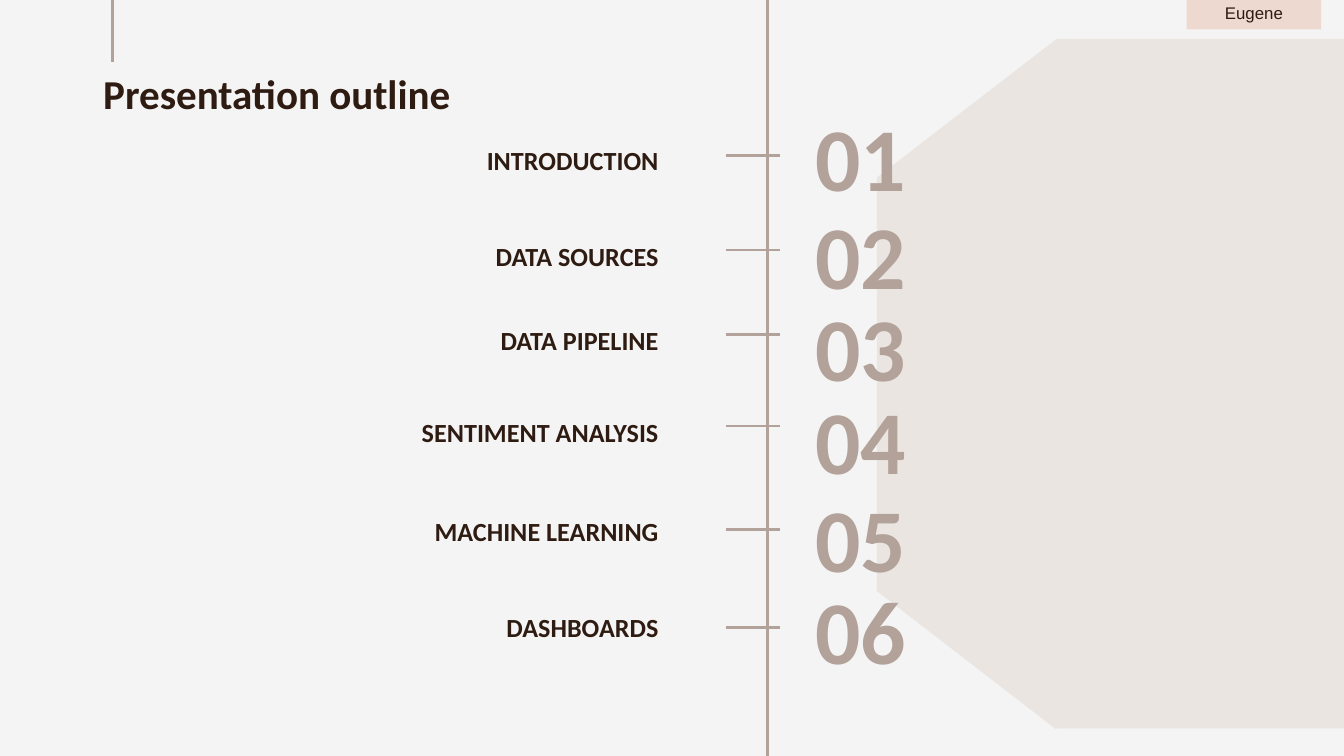
from lxml import etree
from pptx import Presentation
from pptx.dml.color import RGBColor
from pptx.enum.shapes import MSO_CONNECTOR as Connector, MSO_SHAPE as Shape
from pptx.enum.text import MSO_ANCHOR as Anchor, PP_ALIGN as Align
from pptx.oxml.ns import qn
from pptx.util import Inches, Pt

COLORS = {
    "background": "F4F4F4",
    "panel": "EAE5E1",
    "accent": "B3A29A",
    "ink": "2E1B11",
    "tag": "EDD9CF",
}

# Section name, top of its label, top of its number, height of its tick
SECTIONS = [
    ("INTRODUCTION", 0.78, 0.84, 1.16),
    ("DATA SOURCES", 1.49, 1.57, 1.86),
    ("DATA PIPELINE", 2.12, 2.26, 2.49),
    ("SENTIMENT ANALYSIS", 2.80, 2.95, 3.17),
    ("MACHINE LEARNING", 3.54, 3.68, 3.94),
    ("DASHBOARDS", 4.25, 4.36, 4.67),
]


def color(name):
    return RGBColor.from_string(COLORS[name])


def write(frame, text, size=14, ink="ink", font="Calibri", bold=True,
          align=Align.LEFT, anchor=Anchor.TOP, inset=(0.1, 0.1)):
    frame.word_wrap = True
    frame.vertical_anchor = anchor
    frame.margin_left = frame.margin_right = Inches(inset[0])
    frame.margin_top = frame.margin_bottom = Inches(inset[1])
    paragraph = frame.paragraphs[0]
    paragraph.alignment = align
    run = paragraph.add_run()
    run.text = text
    run.font.name = font
    run.font.size = Pt(size)
    run.font.bold = bold
    run.font.color.rgb = color(ink)


class Outline:
    def __init__(self, deck):
        self.slide = deck.slides.add_slide(deck.slide_layouts[6])
        self.slide.background.fill.solid()
        self.slide.background.fill.fore_color.rgb = color("background")

    def block(self, kind, left, top, width, height, fill, rotation=0):
        block = self.slide.shapes.add_shape(
            kind, Inches(left), Inches(top), Inches(width), Inches(height))
        block.rotation = rotation
        block.shadow.inherit = False
        block.fill.solid()
        block.fill.fore_color.rgb = color(fill)
        block.line.fill.background()
        return block

    def text(self, left, top, width, height, words, **style):
        box = self.slide.shapes.add_textbox(
            Inches(left), Inches(top), Inches(width), Inches(height))
        write(box.text_frame, words, **style)

    def rule(self, x1, y1, x2, y2):
        rule = self.slide.shapes.add_connector(
            Connector.STRAIGHT, Inches(x1), Inches(y1), Inches(x2), Inches(y2))
        rule.line.color.rgb = color("accent")
        rule.line.width = Pt(1.5)
        etree.SubElement(rule._element.spPr, qn("a:effectLst"))


def main():
    # Widescreen page, 16 to 9
    deck = Presentation()
    deck.slide_width = Inches(10)
    deck.slide_height = Inches(10 * 9 / 16)
    outline = Outline(deck)

    # Background panel
    outline.block(Shape.FLOWCHART_PREPARATION, 5.29, 1.53, 5.13, 2.66,
                  "panel", rotation=90)
    outline.block(Shape.RECTANGLE, 7.86, 0.29, 2.33, 5.13, "panel")

    # Heading with its rule
    outline.text(0.67, 0.41, 2.8, 1.03, "Presentation outline", size=22)
    outline.rule(0.84, -0.03, 0.84, 0.46)

    # Timeline of sections
    outline.rule(5.71, -0.05, 5.71, 5.7)
    for number, (name, label_top, number_top, tick) in enumerate(SECTIONS, 1):
        outline.text(2.54, label_top, 2.46, 0.63, name,
                     align=Align.RIGHT, anchor=Anchor.BOTTOM)
        outline.text(5.97, number_top, 1.27, 0.63, f"{number:02d}", size=48,
                     ink="accent", anchor=Anchor.MIDDLE)
        outline.rule(5.8, tick, 5.4, tick)

    # Speaker tag
    speaker = outline.block(Shape.RECTANGLE, 8.83, -0.08, 1, 0.3, "tag")
    write(speaker.text_frame, "Eugene", size=9, font="Arial", bold=False,
          align=Align.CENTER, anchor=Anchor.BOTTOM, inset=(0.1, 0.05))

    deck.save("out.pptx")


if __name__ == "__main__":
    main()
